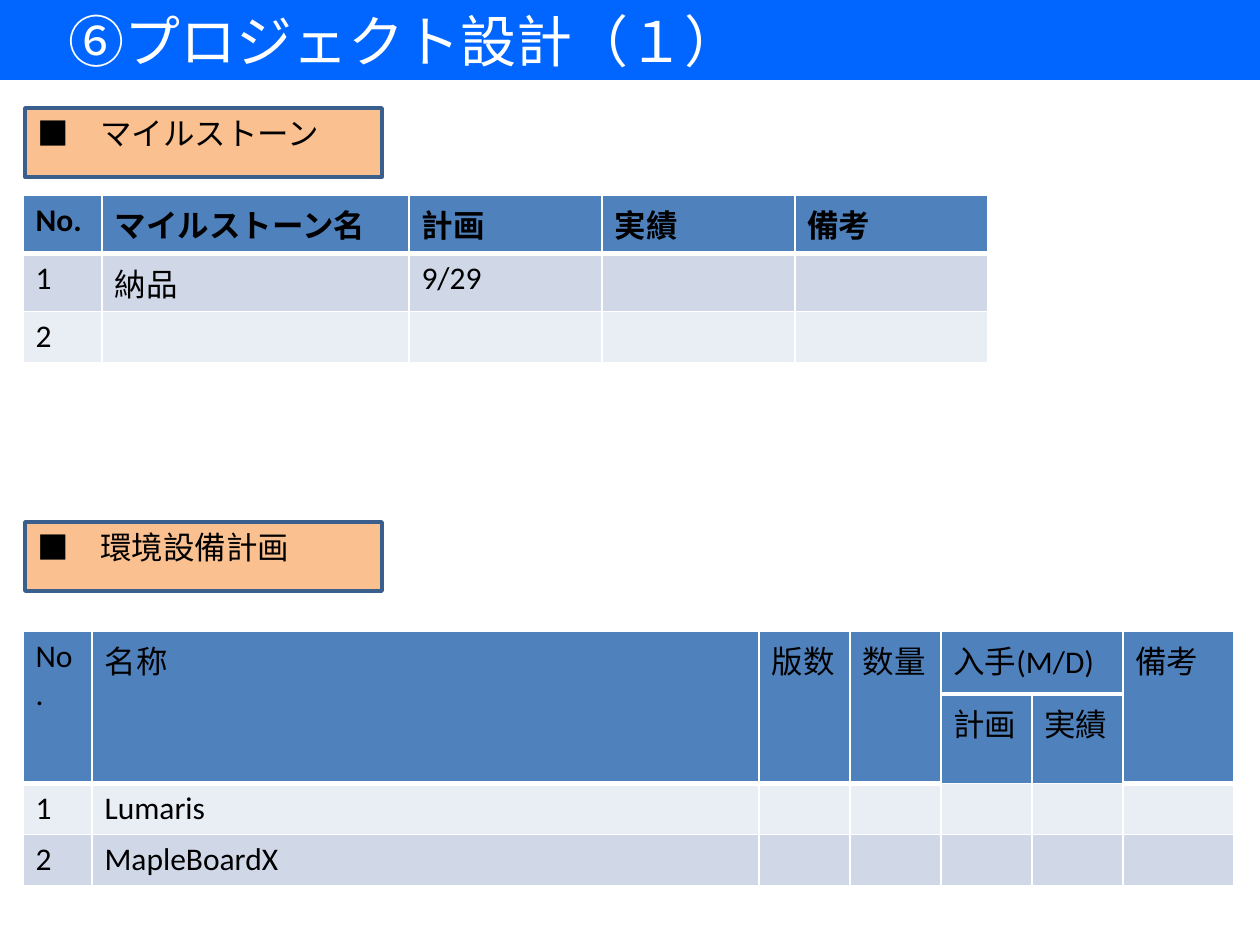
from pptx import Presentation
from pptx.dml.color import RGBColor
from pptx.enum.shapes import MSO_SHAPE as Shape
from pptx.enum.text import MSO_ANCHOR as Anchor, PP_ALIGN as Align
from pptx.oxml import parse_xml
from pptx.oxml.ns import nsdecls
from pptx.util import Emu, Pt

PX = 914400 // 126
WHITE = RGBColor(0xFF, 0xFF, 0xFF)
BLACK = RGBColor(0, 0, 0)
TITLE_BLUE = RGBColor(0x00, 0x66, 0xFF)
PEACH = RGBColor(0xFA, 0xC0, 0x90)
OUTLINE_BLUE = RGBColor(0x3A, 0x5F, 0x8C)
HEADER_BLUE = RGBColor(0x4F, 0x81, 0xBD)
BAND_DARK = RGBColor(0xD0, 0xD8, 0xE8)
BAND_LIGHT = RGBColor(0xE9, 0xED, 0xF4)


def px(length):
    return Emu(length * PX)


def write(frame, text, size=18, font="Calibri", color=BLACK, bold=False):
    paragraph = frame.paragraphs[0]
    paragraph.alignment = Align.LEFT
    run = paragraph.add_run()
    run.text = text
    run.font.size = Pt(size)
    run.font.name = font
    run.font.bold = bold
    run.font.color.rgb = color


def add_panel(slide, box, fill, text, line=None, anchor=Anchor.TOP, **text_format):
    panel = slide.shapes.add_shape(Shape.RECTANGLE, *map(px, box))
    panel.shadow.inherit = False
    panel.fill.solid()
    panel.fill.fore_color.rgb = fill
    if line is None:
        panel.line.fill.background()
    else:
        panel.line.color.rgb = line
        panel.line.width = Pt(2)
    panel.text_frame.word_wrap = True
    panel.text_frame.vertical_anchor = anchor
    write(panel.text_frame, text, **text_format)


def set_borders(cell, bottom):
    properties = cell._tc.get_or_add_tcPr()
    widths = {"lnL": 1, "lnR": 1, "lnT": 1, "lnB": bottom}
    for index, (side, width) in enumerate(widths.items()):
        properties.insert(index, parse_xml(
            f'<a:{side} {nsdecls("a")} w="{Pt(width)}"><a:solidFill>'
            f'<a:srgbClr val="{WHITE}"/></a:solidFill></a:{side}>'))


def add_grid(slide, left, top, widths, heights, rows, fills, bold_header=False, merges=()):
    grid = slide.shapes.add_table(len(heights), len(widths), px(left), px(top),
                                  px(sum(widths)), px(sum(heights))).table
    for column, width in zip(grid.columns, widths):
        column.width = px(width)
    for row, height in zip(grid.rows, heights):
        row.height = px(height)
    for r, (texts, fill) in enumerate(zip(rows, fills)):
        for c in range(len(widths)):
            cell = grid.cell(r, c)
            cell.fill.solid()
            cell.fill.fore_color.rgb = fill
            set_borders(cell, bottom=3 if r == 0 else 1)
            if c < len(texts) and texts[c]:
                write(cell.text_frame, texts[c], bold=bold_header and r == 0)
    for first, last in merges:
        grid.cell(*first).merge(grid.cell(*last))


def add_section(slide, top, heading, grid_left, grid_drop, **grid):
    add_panel(slide, (25, top, 357, 69), PEACH, heading, line=OUTLINE_BLUE)
    add_grid(slide, grid_left, top + grid_drop, **grid)


deck = Presentation()
deck.slide_width, deck.slide_height = px(1260), px(945)
slide = deck.slides.add_slide(deck.slide_layouts[6])

# Title bar
add_panel(slide, (0, 0, 1260, 80), TITLE_BLUE, "　⑥プロジェクト設計（１）",
          anchor=Anchor.MIDDLE, size=32, font="Times New Roman", color=WHITE)

# Milestones
add_section(slide, 108, "■　マイルストーン", 23, 87,
            widths=[79, 307, 193, 193, 193], heights=[51] * 3,
            rows=[["No.", "マイルストーン名", "計画", "実績", "備考"],
                  ["1", "納品", "9/29"],
                  ["2"]],
            fills=[HEADER_BLUE, BAND_DARK, BAND_LIGHT], bold_header=True)

# Environment and equipment plan: tall header cells, one split in two
tall_headers = [((0, c), (1, c)) for c in (0, 1, 2, 3, 6)]
add_section(slide, 522, "■　環境設備計画", 23, 109,
            widths=[69, 667, 91, 91, 91, 91, 111], heights=[63, 63, 51, 51],
            rows=[["No.", "名称", "版数", "数量", "入手(M/D)", "", "備考"],
                  ["", "", "", "", "計画", "実績"],
                  ["1", "Lumaris"],
                  ["2", "MapleBoardX"]],
            fills=[HEADER_BLUE, HEADER_BLUE, BAND_LIGHT, BAND_DARK],
            merges=tall_headers + [((0, 4), (0, 5))])

deck.save("out.pptx")
